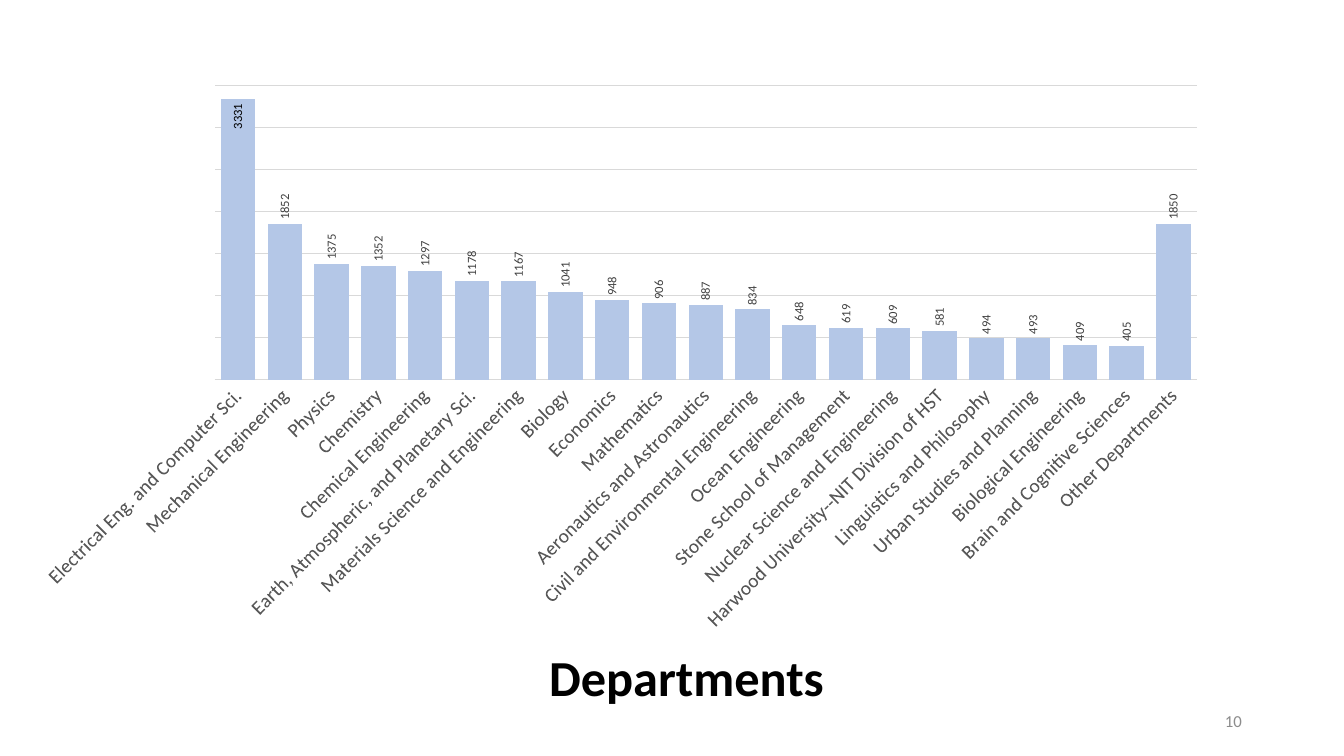
import pptx
import pptx.chart.data
import pptx.dml.color
import pptx.enum.chart
import pptx.enum.text
import pptx.util

PX = 914400 / 100.8
FONT = "Calibri"
GRID = "D9D9D9"

DISSERTATIONS = {
    "Electrical Eng. and Computer Sci.": 3331,
    "Mechanical Engineering": 1852,
    "Physics": 1375,
    "Chemistry": 1352,
    "Chemical Engineering": 1297,
    "Earth, Atmospheric, and Planetary Sci.": 1178,
    "Materials Science and Engineering": 1167,
    "Biology": 1041,
    "Economics": 948,
    "Mathematics": 906,
    "Aeronautics and Astronautics": 887,
    "Civil and Environmental Engineering": 834,
    "Ocean Engineering": 648,
    "Stone School of Management": 619,
    "Nuclear Science and Engineering": 609,
    "Harwood University--NIT Division of HST": 581,
    "Linguistics and Philosophy": 494,
    "Urban Studies and Planning": 493,
    "Biological Engineering": 409,
    "Brain and Cognitive Sciences": 405,
    "Other Departments": 1850,
}


def px(length):
    return pptx.util.Emu(round(length * PX))


def rgb(value):
    return pptx.dml.color.RGBColor.from_string(value)


def set_all(target, values):
    for name, value in values.items():
        setattr(target, name, value)


def style_font(font, size, color, bold=False):
    set_all(font, {"name": FONT, "size": pptx.util.Pt(size), "bold": bold})
    font.color.rgb = rgb(color)


def style_line(line):
    line.color.rgb = rgb(GRID)
    line.width = pptx.util.Pt(0.75)


def rotate_text(element, degrees):
    """Turn the text of every chart part inside element."""
    for body in element.xpath(".//c:txPr/a:bodyPr"):
        body.set("rot", str(degrees * 60000))
        body.set("vert", "horz")


def place_plot(chart, x, y, w, h):
    """Fix the inner plot area, in fractions of the chart."""
    plot_area = chart._chartSpace.chart.plotArea
    for old in plot_area.xpath("c:layout"):
        plot_area.remove(old)
    values = {"layoutTarget": "inner", "xMode": "edge", "yMode": "edge",
              "x": x, "y": y, "w": w, "h": h}
    layout = pptx.oxml.parse_xml(
        '<c:layout xmlns:c="http://schemas.openxmlformats.org/drawingml/2006/chart">'
        "<c:manualLayout>"
        + "".join(f'<c:{name} val="{value}"/>' for name, value in values.items())
        + "</c:manualLayout></c:layout>")
    plot_area.insert(0, layout)


def style_axes(chart):
    departments, counts = chart.category_axis, chart.value_axis
    no_mark = pptx.enum.chart.XL_TICK_MARK.NONE
    set_all(departments, {"major_tick_mark": no_mark, "minor_tick_mark": no_mark})
    style_font(departments.tick_labels.font, 14, "595959")
    style_line(departments.format.line)
    rotate_text(departments._element, -45)
    set_all(counts, {"minimum_scale": 0, "maximum_scale": 3500, "major_unit": 500,
                     "has_major_gridlines": True, "visible": False})
    style_line(counts.major_gridlines.format.line)


def style_bars(plot):
    set_all(plot, {"gap_width": 36, "overlap": -25, "vary_by_categories": False})
    bars = plot.series[0]
    bars.format.fill.solid()
    bars.format.fill.fore_color.rgb = rgb("B4C7E7")
    position = pptx.enum.chart.XL_LABEL_POSITION
    set_all(bars.data_labels, {"show_value": True, "position": position.OUTSIDE_END})
    style_font(bars.data_labels.font, 9, "404040")
    tallest = bars.points[0].data_label
    style_font(tallest.font, 9, "000000")
    tallest.position = position.INSIDE_END
    rotate_text(bars._element, -90)


def add_department_chart(slide, left, top, width, height):
    data = pptx.chart.data.CategoryChartData()
    data.categories = list(DISSERTATIONS)
    data.add_series("Number of Dissertations", list(DISSERTATIONS.values()))
    chart = slide.shapes.add_chart(
        pptx.enum.chart.XL_CHART_TYPE.COLUMN_CLUSTERED,
        px(left), px(top), px(width), px(height), data).chart
    set_all(chart, {"has_legend": False, "has_title": False})
    style_font(chart.font, 10, "000000")
    place_plot(chart, 0.142, 0.044, 0.851, 0.474)
    style_axes(chart)
    style_bars(chart.plots[0])


def write_text(shape, box, text, size, color, align, bold=False):
    left, top, width, height = map(px, box)
    set_all(shape, {"left": left, "top": top, "width": width, "height": height})
    set_all(shape.text_frame, {
        "word_wrap": True,
        "auto_size": pptx.enum.text.MSO_AUTO_SIZE.NONE,
        "vertical_anchor": pptx.enum.text.MSO_ANCHOR.MIDDLE})
    paragraph = shape.text_frame.paragraphs[0]
    paragraph.alignment = align
    run = paragraph.add_run()
    run.text = text
    style_font(run.font, size, color, bold)
    return paragraph


def main():
    deck = pptx.Presentation()
    set_all(deck, {"slide_width": px(1344), "slide_height": px(756)})
    slide = deck.slides.add_slide(deck.slide_layouts.get_by_name("Title Only"))
    align = pptx.enum.text.PP_ALIGN
    add_department_chart(slide, 43, 58, 1162, 621)
    title = write_text(slide.shapes.title, (539, 644, 307, 72), "Departments",
                       36, "000000", align.LEFT, bold=True)
    title.line_spacing = 0.9
    page_number = slide.shapes.add_textbox(0, 0, 0, 0)
    write_text(page_number, (950, 701, 302, 40), "10", 12, "8C8C8C", align.RIGHT)
    deck.save("out.pptx")


if __name__ == "__main__":
    main()
